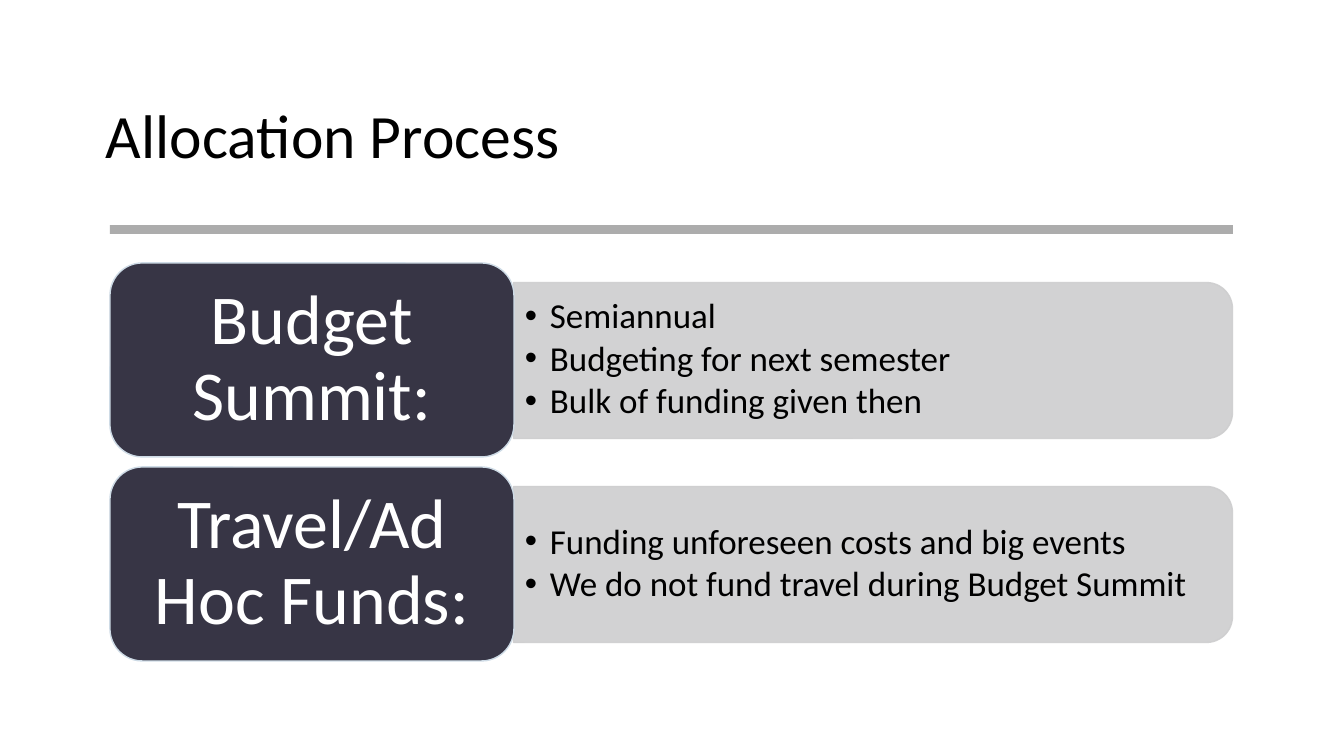
"""Build the Allocation Process slide."""
from dataclasses import dataclass
from typing import Any

from lxml.etree import SubElement
from pptx import Presentation
from pptx.dml.color import RGBColor
from pptx.enum.shapes import MSO_SHAPE
from pptx.enum.text import MSO_ANCHOR, PP_ALIGN
from pptx.oxml.ns import qn
from pptx.util import Pt

PX = 914400 / 100.8
BLACK = RGBColor(0x00, 0x00, 0x00)
WHITE = RGBColor(0xFF, 0xFF, 0xFF)
GRAY = RGBColor(0x80, 0x80, 0x80)
PANEL = RGBColor(0xCE, 0xCE, 0xCF)
NAVY = RGBColor(0x37, 0x35, 0x45)
EDGE = RGBColor(0xCE, 0xDB, 0xE6)

LEFT, LABEL_W, LABEL_H = 110, 404, 194
PANEL_W, PANEL_H = 719, 156
FIRST_TOP, ROW_STEP = 263, 204

TITLE = {"size": Pt(44), "color": BLACK}
LABEL = {"size": Pt(50), "color": WHITE}
BULLET = {"size": Pt(25), "color": BLACK}


@dataclass(frozen=True)
class Box:
    x: int
    y: int
    w: int
    h: int

    def emu(self) -> list[int]:
        return [px(v) for v in (self.x, self.y, self.w, self.h)]


@dataclass(frozen=True)
class Row:
    label: str
    bullets: tuple[str, ...]


ROWS = (
    Row("Budget Summit:",
        ("Semiannual", "Budgeting for next semester", "Bulk of funding given then")),
    Row("Travel/Ad Hoc Funds:",
        ("Funding unforeseen costs and big events",
         "We do not fund travel during Budget Summit")),
)


def px(v: float) -> int:
    return round(v * PX)


def set_alpha(fill: Any, percent: int) -> None:
    clr = fill.fore_color._xFill.find(qn("a:srgbClr"))
    SubElement(clr, qn("a:alpha")).set("val", str(percent * 1000))


def add_block(s: Any, kind: MSO_SHAPE, box: Box, color: RGBColor,
              line: RGBColor | None = None, alpha: int = 100) -> Any:
    sp = s.shapes.add_shape(kind, *box.emu())
    sp.shadow.inherit = False
    sp.fill.solid()
    sp.fill.fore_color.rgb = color
    fills = [sp.fill]
    if line is None:
        sp.line.fill.background()
    else:
        sp.line.color.rgb = line
        sp.line.width = Pt(1)
        fills.append(sp.line.fill)
    if alpha < 100:
        for fill in fills:
            set_alpha(fill, alpha)
    return sp


def write(sp: Any, lines: tuple[str, ...], fmt: dict[str, Any], inset: tuple[int, int],
          align: PP_ALIGN = PP_ALIGN.LEFT, bulleted: bool = False) -> None:
    tf = sp.text_frame
    dx, dy = (px(v) for v in inset)
    frame = {"word_wrap": True, "vertical_anchor": MSO_ANCHOR.MIDDLE,
             "margin_left": dx, "margin_right": dx, "margin_top": dy, "margin_bottom": dy}
    for name, value in frame.items():
        setattr(tf, name, value)
    for i, text in enumerate(lines):
        p = tf.paragraphs[0] if i == 0 else tf.add_paragraph()
        p.alignment = align
        p.line_spacing = 0.9
        if bulleted:
            p.space_after = Pt(3.5)
            pPr = p._p.get_or_add_pPr()
            pPr.set("marL", str(px(25)))
            pPr.set("indent", str(px(-25)))
            SubElement(pPr, qn("a:buFont")).set("typeface", "Arial")
            SubElement(pPr, qn("a:buChar")).set("char", "•")
        r = p.add_run()
        r.text = text
        for name, value in {"name": "Calibri", "size": fmt["size"]}.items():
            setattr(r.font, name, value)
        r.font.color.rgb = fmt["color"]


def add_row(s: Any, row: Row, top: int) -> None:
    x, y = LEFT + LABEL_W, top + (LABEL_H - PANEL_H) // 2
    shift = (PANEL_W - PANEL_H) // 2
    upright = Box(x + shift, y - shift, PANEL_H, PANEL_W)
    sp = add_block(s, MSO_SHAPE.ROUND_2_SAME_RECTANGLE, upright, PANEL, PANEL, 90)
    sp.rotation = 90
    sp = s.shapes.add_textbox(*Box(x + 1, y + 8, PANEL_W - 8, PANEL_H - 16).emu())
    write(sp, row.bullets, BULLET, (10, 5), bulleted=True)
    sp = add_block(s, MSO_SHAPE.ROUNDED_RECTANGLE, Box(LEFT, top, LABEL_W, LABEL_H), NAVY, EDGE)
    write(sp, (row.label,), LABEL, (31, 19), PP_ALIGN.CENTER)


def main() -> None:
    prs = Presentation()
    prs.slide_width, prs.slide_height = px(1344), px(756)
    s = prs.slides.add_slide(prs.slide_layouts[6])
    title = s.shapes.add_textbox(*Box(96, 66, 1152, 146).emu())
    write(title, ("Allocation Process",), TITLE, (10, 5))
    add_block(s, MSO_SHAPE.RECTANGLE, Box(LEFT, 225, 1123, 9), GRAY, alpha=65)
    for i, row in enumerate(ROWS):
        add_row(s, row, FIRST_TOP + i * ROW_STEP)
    prs.save("out.pptx")


main()
